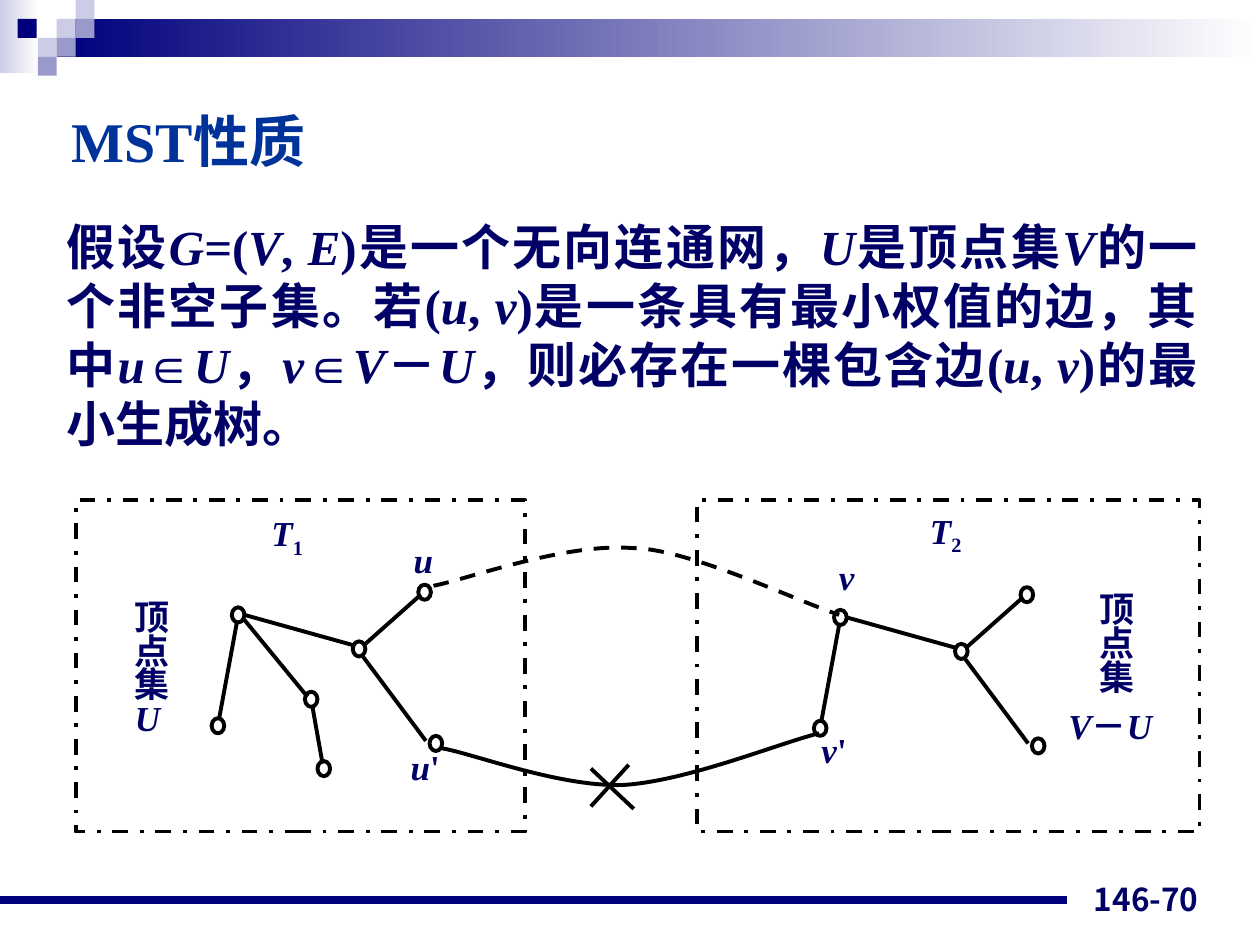
from lxml.etree import SubElement
from pptx import Presentation
from pptx.dml.color import RGBColor
from pptx.enum.dml import MSO_LINE
from pptx.enum.shapes import MSO_CONNECTOR, MSO_SHAPE
from pptx.enum.text import MSO_ANCHOR, PP_ALIGN
from pptx.oxml.ns import qn
from pptx.util import Emu, Pt

EMU_PER_PX = 9144
NAVY, LILAC, VIOLET = "00007D", "CCCCE6", "9999CC"
INK, TITLE, BLACK, WHITE = "000066", "003399", "000000", "FFFFFF"
LATIN, CJK, CJK_NUMBER = "Times New Roman", "Noto Sans CJK SC", "Noto Sans CJK JP"


def px(n):
    return Emu(n * EMU_PER_PX)


def rgb(color):
    return RGBColor.from_string(color)


def add_runs(p, text, size=20, color=INK, font=LATIN, sub=""):
    parts = [(part, i % 2 == 1, False) for i, part in enumerate(text.split("*"))]
    for part, italic, lowered in parts + [(sub, False, True)]:
        if not part:
            continue
        r = p.add_run()
        r.text = part
        r.font.size, r.font.name = Pt(size), font
        r.font.bold, r.font.italic = True, italic
        r.font.color.rgb = rgb(color)
        rPr = r.font._element
        SubElement(rPr, qn("a:ea")).set("typeface", CJK)
        if lowered:
            rPr.set("baseline", "-25000")


class Deck:
    def __init__(self, width, height):
        self.prs = Presentation()
        self.prs.slide_width, self.prs.slide_height = px(width), px(height)
        self.slide = self.prs.slides.add_slide(self.prs.slide_layouts[6])
        self.shapes = self.slide.shapes
        self.line_width = 2.25

    def stroke(self, sp, dash=None, color=BLACK, width=None):
        sp.line.color.rgb = rgb(color)
        sp.line.width = Pt(width or self.line_width)
        if dash:
            sp.line.dash_style = dash

    def block(self, x, y, w, h, *colors):
        sp = self.shapes.add_shape(MSO_SHAPE.RECTANGLE, px(x), px(y), px(w), px(h))
        sp.shadow.inherit = False
        sp.line.fill.background()
        if len(colors) == 1:
            sp.fill.solid()
            sp.fill.fore_color.rgb = rgb(colors[0])
        else:
            sp.fill.gradient()
            sp.fill.gradient_angle = 0
            for stop, position, color in zip(sp.fill.gradient_stops, (0, 1), colors):
                stop.position, stop.color.rgb = position, rgb(color)

    def outline(self, kind, x, y, w, h, dash=None):
        sp = self.shapes.add_shape(kind, px(x), px(y), px(w), px(h))
        sp.shadow.inherit = False
        sp.fill.background()
        self.stroke(sp, dash)

    def node(self, x, y):
        self.outline(MSO_SHAPE.OVAL, x, y, 10, 12)

    def line(self, x1, y1, x2, y2, **style):
        sp = self.shapes.add_connector(MSO_CONNECTOR.STRAIGHT, px(x1), px(y1), px(x2), px(y2))
        self.stroke(sp, **style)
        SubElement(sp._element.spPr, qn("a:effectLst"))

    def curve(self, start, *points, dash=None):
        builder = self.shapes.build_freeform(*start, scale=EMU_PER_PX)
        builder.add_line_segments(points, close=False)
        sp = builder.convert_to_shape()
        sp.shadow.inherit = False
        sp.fill.background()
        self.stroke(sp, dash)
        segments = list(sp._element.iter(qn("a:lnTo")))
        outline = segments[0].getparent()
        for i in range(0, len(segments), 3):
            bezier = SubElement(outline, qn("a:cubicBezTo"))
            for segment in segments[i:i + 3]:
                bezier.append(segment[0])
                outline.remove(segment)

    def text(self, x, y, w, h, text, align=PP_ALIGN.CENTER, spacing=None,
             inset=(0, 0), anchor=MSO_ANCHOR.TOP, **font):
        tf = self.shapes.add_textbox(px(x), px(y), px(w), px(h)).text_frame
        tf.word_wrap, tf.vertical_anchor = True, anchor
        tf.margin_left = tf.margin_right = px(inset[0])
        tf.margin_top = tf.margin_bottom = px(inset[1])
        p = tf.paragraphs[0]
        p.alignment = align
        if spacing:
            p.line_spacing = spacing
        add_runs(p, text, **font)

    def tree(self, dx, dy):
        for x, y in [(332, 464), (341, 584), (280, 509), (168, 570), (184, 482)]:
            self.node(x + dx, y + dy)
        for x1, y1, x2, y2 in [(334, 472, 290, 511), (288, 521, 338, 588),
                               (188, 494, 174, 570), (194, 488, 280, 512)]:
            self.line(x1 + dx, y1 + dy, x2 + dx, y2 + dy)


def main():
    d = Deck(1000, 750)

    d.block(0, 0, 31, 58, LILAC, WHITE)
    d.block(45, 15, 955, 30, NAVY, WHITE)
    for x, y, color in [(45, 15, LILAC), (60, 0, LILAC), (60, 15, VIOLET), (30, 30, LILAC),
                        (14, 15, NAVY), (45, 30, VIOLET), (30, 45, VIOLET)]:
        d.block(x, y, 15, 15, color)
    d.line(0, 714, 847, 714, color=NAVY, width=4.5)
    d.text(728, 683, 233, 50, "146-70", align=PP_ALIGN.RIGHT, inset=(10, 5),
           anchor=MSO_ANCHOR.BOTTOM, size=18, font=CJK_NUMBER)

    d.text(47, 80, 308, 64, "MST性质", align=PP_ALIGN.LEFT, inset=(10, 5), size=32, color=TITLE)
    d.text(43, 167, 917, 197,
           "假设*G*=(*V*, *E*)是一个无向连通网，*U*是顶点集*V*的一个非空子集。"
           "若(*u*, *v*)是一条具有最小权值的边，其中*u*∈*U*，*v*∈*V*－*U*，"
           "则必存在一棵包含边(*u*, *v*)的最小生成树。",
           align=PP_ALIGN.JUSTIFY, inset=(10, 5), size=28)

    for x, w in [(553, 399), (60, 357)]:
        d.outline(MSO_SHAPE.RECTANGLE, x, 397, w, 263, dash=MSO_LINE.DASH_DOT)

    d.curve((351, 594), (375, 598), (445, 625), (495, 623), (545, 620), (618, 590), (650, 582))
    d.curve((344, 465), (370, 460), (448, 431), (501, 435), (546, 435), (632, 477), (666, 488),
            dash=MSO_LINE.DASH)
    d.line(469, 610, 503, 642)
    d.line(499, 607, 469, 640)

    d.tree(0, 0)
    d.tree(478, 2)
    d.node(242, 549)
    d.node(252, 604)
    d.line(194, 492, 244, 553)
    d.line(248, 561, 256, 606)

    d.text(107, 478, 34, 109, "顶点集*U*", align=PP_ALIGN.JUSTIFY, spacing=0.8, inset=(0, 1))
    d.text(873, 473, 28, 84, "顶点集", align=PP_ALIGN.JUSTIFY, spacing=0.8)
    d.text(848, 561, 106, 34, "*V*－*U*", align=PP_ALIGN.JUSTIFY, spacing=0.94, inset=(0, 1))
    d.text(323, 605, 29, 21, "*u*'", spacing=0.54)
    d.text(657, 452, 30, 23, "*v*", spacing=0.62)
    d.text(645, 587, 34, 25, "*v*'", spacing=0.72)
    d.text(322, 436, 28, 25, "*u*", spacing=0.72)
    d.text(199, 415, 58, 25, "*T*", spacing=0.62, sub="1")
    d.text(722, 413, 57, 25, "*T*", spacing=0.62, sub="2")

    d.prs.save("out.pptx")


if __name__ == "__main__":
    main()
